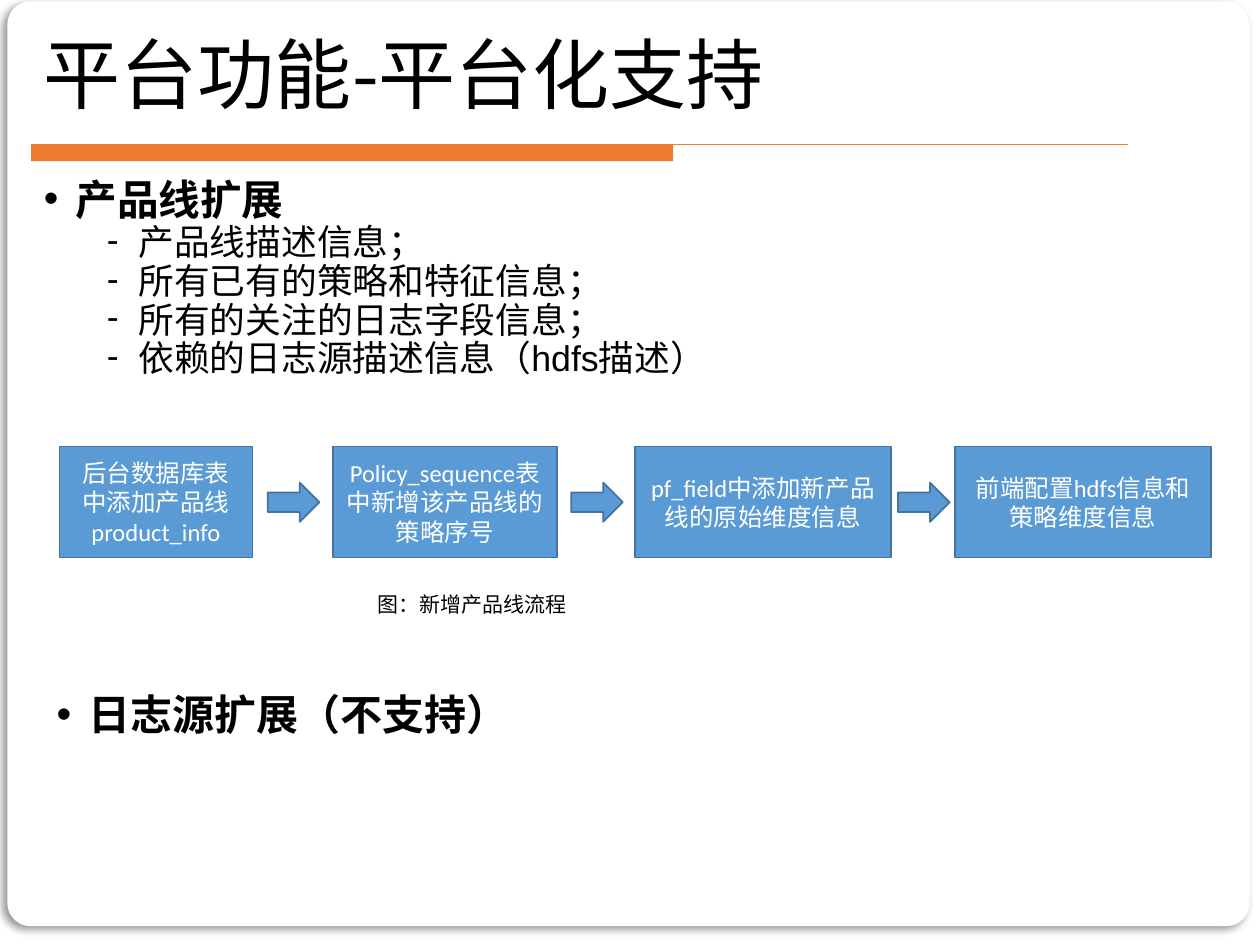
from lxml.etree import SubElement
from pptx import Presentation
from pptx.dml.color import RGBColor
from pptx.enum.shapes import MSO_CONNECTOR, MSO_SHAPE
from pptx.enum.text import MSO_ANCHOR, MSO_AUTO_SIZE, PP_ALIGN
from pptx.oxml.ns import qn
from pptx.util import Cm, Pt

CJK = "Noto Sans CJK SC"
ORANGE, BLUE, EDGE, WHITE, BLACK = "ED7D31", "5B9BD5", "43739E", "FFFFFF", "000000"
TITLE = dict(name=CJK, size=Pt(44), bold=False)
HEAD = dict(name="Arial", size=Pt(23.8), bold=True)
ITEM = dict(name="Arial", size=Pt(20.4), bold=False)
SOURCE = dict(name="Arial", size=Pt(24), bold=True)
STEP = dict(name="Calibri", size=Pt(14))
CAPTION = dict(name="Calibri", size=Pt(12))
ITEMS = ["产品线描述信息；", "所有已有的策略和特征信息；",
         "所有的关注的日志字段信息；", "依赖的日志源描述信息（hdfs描述）"]
STEPS = [(1.2, 3.89, "后台数据库表中添加产品线product_info"),
         (6.71, 4.52, "Policy_sequence表中新增该产品线的策略序号"),
         (12.8, 5.16, "pf_field中添加新产品线的原始维度信息"),
         (19.25, 5.16, "前端配置hdfs信息和策略维度信息")]


def rgb(value):
    """Turn a hex string into a colour."""
    return RGBColor.from_string(value)


def set_attrs(obj, values):
    """Set each attribute named in a dict."""
    for key, value in values.items():
        setattr(obj, key, value)


def place(sp, x, y, w, h):
    """Move and size a shape, in centimetres."""
    set_attrs(sp, dict(left=Cm(x), top=Cm(y), width=Cm(w), height=Cm(h)))


def add_text(p, text, fmt, color=BLACK, **layout):
    """Write one formatted run into a paragraph."""
    set_attrs(p, layout)
    r = p.add_run()
    r.text = text
    set_attrs(r.font, fmt)
    r.font.color.rgb = rgb(color)
    SubElement(r.font._element, qn("a:ea"), typeface=CJK)


def add_bullet(p, char, indent):
    """Give a paragraph a bullet with a hanging indent."""
    pPr = p._p.get_or_add_pPr()
    pPr.set("marL", str(Cm(indent)))
    pPr.set("indent", str(-Cm(0.64)))
    SubElement(pPr, qn("a:buFont"), typeface="Arial")
    SubElement(pPr, qn("a:buChar"), char=char)


def add_box(s, kind, x, y, w, h, fill, line=None):
    """Add a flat preset shape."""
    sp = s.shapes.add_shape(kind, Cm(x), Cm(y), Cm(w), Cm(h))
    sp.shadow.inherit = False
    sp.fill.solid()
    sp.fill.fore_color.rgb = rgb(fill)
    if line:
        sp.line.color.rgb = rgb(line)
        sp.line.width = Pt(1)
    else:
        sp.line.fill.background()
    return sp


def add_card(s):
    """Add the white rounded page with its soft shadow."""
    sp = add_box(s, MSO_SHAPE.ROUNDED_RECTANGLE, 0.15, 0.03, 25.04, 18.64, WHITE)
    sp.adjustments[0] = 0.025
    effects = sp._element.spPr.find(qn("a:effectLst"))
    shadow = SubElement(effects, qn("a:outerShdw"), blurRad=str(Pt(4)),
                        dist=str(Pt(3)), dir=str(135 * 60000), algn="tr", rotWithShape="0")
    color = SubElement(shadow, qn("a:srgbClr"), val=BLACK)
    SubElement(color, qn("a:alpha"), val="40000")


def add_rule(s):
    """Add the thick and thin line below the title."""
    add_box(s, MSO_SHAPE.RECTANGLE, 0.63, 2.92, 12.94, 0.33, ORANGE)
    line = s.shapes.add_connector(MSO_CONNECTOR.STRAIGHT, Cm(0.63), Cm(2.92), Cm(22.73), Cm(2.92))
    line.line.color.rgb = rgb(ORANGE)
    line.line.width = Pt(0.75)
    SubElement(line._element.spPr, qn("a:effectLst"))


def add_textbox(s, x, y, w, h):
    """Add a wrapping text box and return its text frame."""
    tf = s.shapes.add_textbox(Cm(x), Cm(y), Cm(w), Cm(h)).text_frame
    tf.word_wrap = True
    return tf


def fill_title(sp):
    """Place and write the slide title."""
    place(sp, 0.63, 0.3, 24.51, 2.57)
    set_attrs(sp.text_frame, dict(vertical_anchor=MSO_ANCHOR.MIDDLE, auto_size=MSO_AUTO_SIZE.NONE))
    add_text(sp.text_frame.paragraphs[0], "平台功能-平台化支持", TITLE,
             alignment=PP_ALIGN.LEFT, line_spacing=0.9)


def fill_body(sp):
    """Place and write the product line list."""
    place(sp, 0.63, 3.66, 24.51, 4.22)
    tf = sp.text_frame
    tf.auto_size = MSO_AUTO_SIZE.NONE
    p = tf.paragraphs[0]
    add_bullet(p, "•", 0.64)
    add_text(p, "产品线扩展", HEAD, line_spacing=0.7, space_before=Pt(0))
    for item in ITEMS:
        p = tf.add_paragraph()
        add_bullet(p, "‐", 1.91)
        add_text(p, item, ITEM, level=1, line_spacing=0.7, space_before=Pt(5))


def add_flow(s):
    """Add the step boxes with an arrow centred in each gap."""
    for x, w, text in STEPS:
        tf = add_box(s, MSO_SHAPE.RECTANGLE, x, 9, w, 2.24, BLUE, EDGE).text_frame
        set_attrs(tf, dict(word_wrap=True, vertical_anchor=MSO_ANCHOR.MIDDLE))
        add_text(tf.paragraphs[0], text, STEP, WHITE, alignment=PP_ALIGN.CENTER)
    for (x, w, _), (following, _, _) in zip(STEPS, STEPS[1:]):
        middle = (x + w + following) / 2
        add_box(s, MSO_SHAPE.RIGHT_ARROW, middle - 0.5, 9.73, 1.04, 0.79, BLUE, EDGE)


def main():
    """Build and save the slide."""
    prs = Presentation()
    set_attrs(prs, dict(slide_width=Cm(25.4), slide_height=Cm(19.05)))
    s = prs.slides.add_slide(prs.slide_layouts[1])
    title, body = s.placeholders
    add_card(s)
    add_rule(s)
    for sp, fill in ((title, fill_title), (body, fill_body)):
        sp._element.getparent().append(sp._element)
        fill(sp)
    add_flow(s)
    tf = add_textbox(s, 7.37, 11.81, 5.44, 0.76)
    add_text(tf.paragraphs[0], "图：新增产品线流程", CAPTION)
    p = add_textbox(s, 0.89, 13.87, 24.51, 2.11).paragraphs[0]
    add_bullet(p, "•", 0.64)
    add_text(p, "日志源扩展（不支持）", SOURCE, line_spacing=0.9)
    prs.save("out.pptx")


if __name__ == "__main__":
    main()
